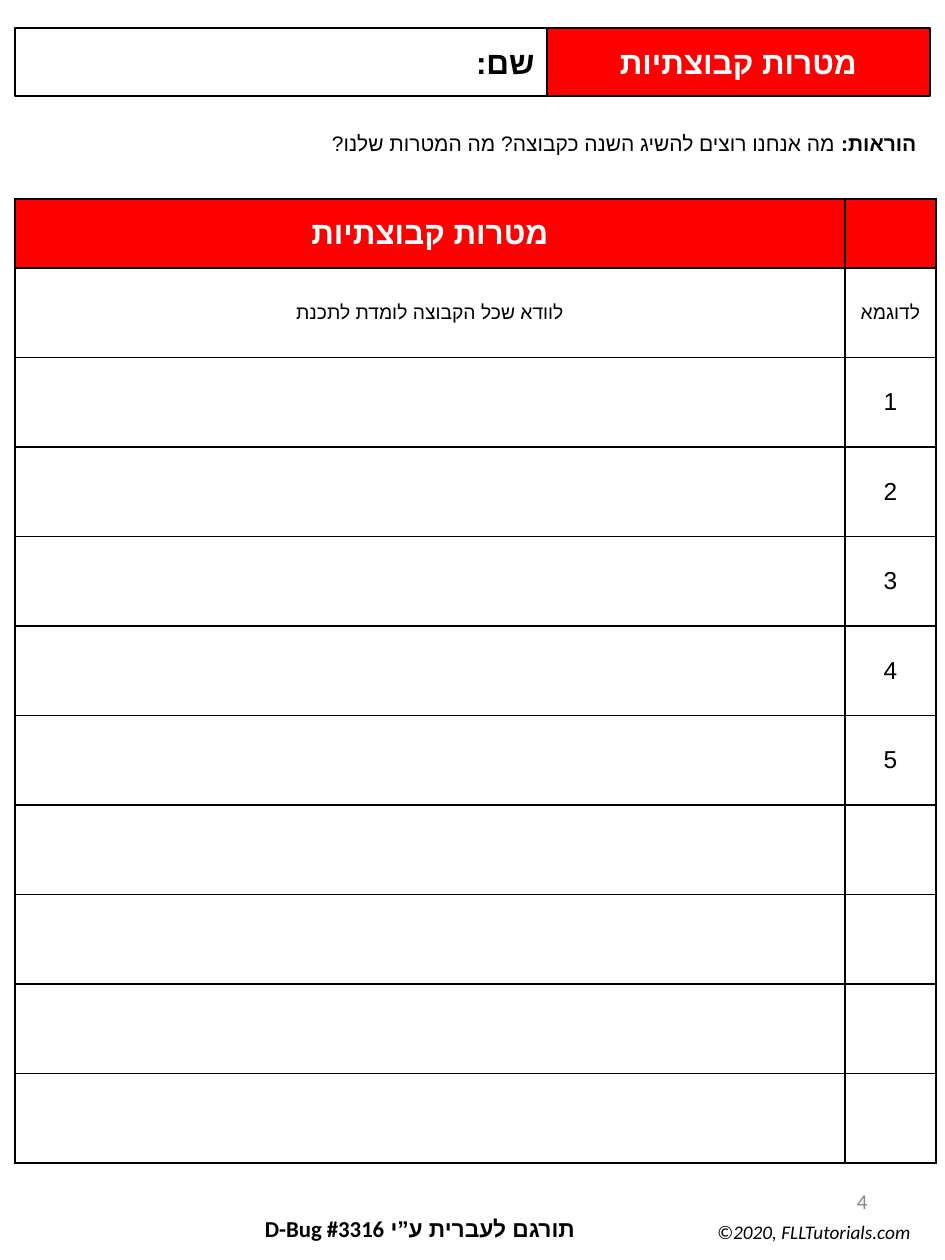
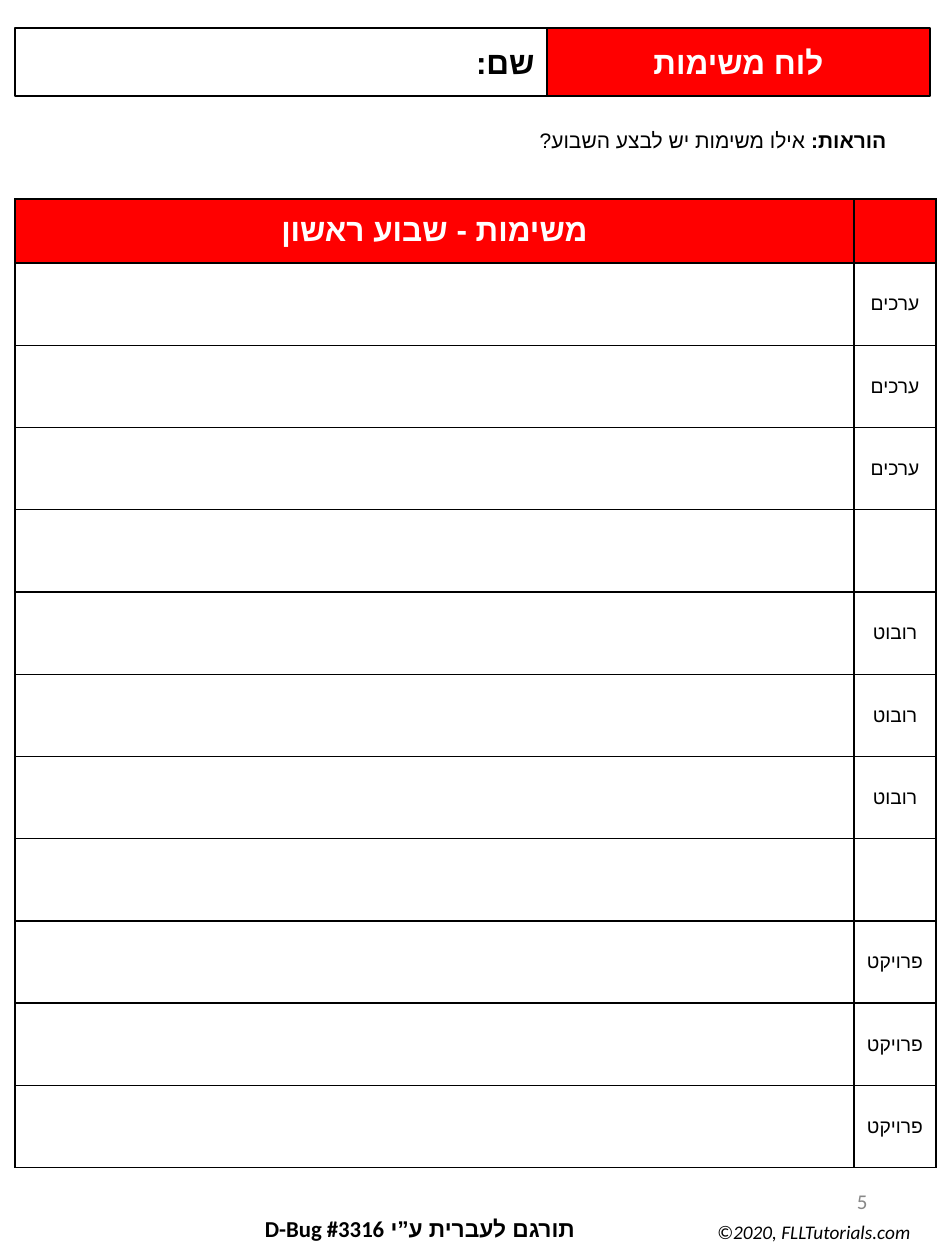
"""Builds two Hebrew team worksheets: group goals and a weekly task board."""
from lxml.etree import SubElement
from pptx import Presentation
from pptx.dml.color import RGBColor
from pptx.enum.shapes import MSO_SHAPE
from pptx.enum.text import MSO_ANCHOR, MSO_AUTO_SIZE, PP_ALIGN
from pptx.oxml.ns import qn
from pptx.util import Pt

PX = 914400 / 126
RED, WHITE, BLACK, GRAY = "FF0000", "FFFFFF", "000000", "888888"
TABLE_LEFT, TABLE_TOP, TABLE_WIDTH = 15, 199, 921


def px(n):
    """Turn px into EMU."""
    return round(n * PX)


def rgb(color):
    """Turn a hex string into a colour."""
    return RGBColor.from_string(color)


def set_fill(target, color):
    """Fill a shape or a cell with one colour."""
    target.fill.solid()
    target.fill.fore_color.rgb = rgb(color)


def write(tf, runs, size, color=BLACK, align=PP_ALIGN.RIGHT, font="Calibri", italic=False, rtl=False):
    """Write one paragraph of (text, bold) runs."""
    p = tf.paragraphs[0]
    p.alignment = align
    if rtl:
        p._p.get_or_add_pPr().set("rtl", "1")
    for text, bold in runs:
        r = p.add_run()
        r.text = text
        r.font.size = Pt(size)
        r.font.bold = bold
        r.font.italic = italic
        r.font.color.rgb = rgb(color)
        r.font.name = font
        SubElement(r._r.get_or_add_rPr(), qn("a:cs"), typeface="Arial")


def add_text(s, box, runs, size, anchor=MSO_ANCHOR.TOP, **style):
    """Add a wrapped text box."""
    tf = s.shapes.add_textbox(*map(px, box)).text_frame
    tf.word_wrap = True
    tf.vertical_anchor = anchor
    write(tf, runs, size, **style)


def format_box(sp, fill, runs, **style):
    """Give a header box its fill, outline and text."""
    set_fill(sp, fill)
    sp.line.color.rgb = rgb(BLACK)
    sp.line.width = Pt(0.75)
    tf = sp.text_frame
    tf.word_wrap = True
    tf.auto_size = MSO_AUTO_SIZE.NONE
    tf.vertical_anchor = MSO_ANCHOR.MIDDLE
    write(tf, runs, 18, **style)


def add_header(s, title):
    """Place the red title and the name field beside it."""
    sp = s.shapes.title
    sp.left, sp.top, sp.width, sp.height = map(px, (547, 28, 383, 68))
    format_box(sp, RED, [(title, True)], color=WHITE, align=PP_ALIGN.CENTER)
    sp = s.shapes.add_shape(MSO_SHAPE.RECTANGLE, *map(px, (15, 28, 532, 68)))
    sp.shadow.inherit = False
    format_box(sp, WHITE, [("שם:", True)], rtl=True)


def add_footer(s, number):
    """Add the page number, the copyright and the translation credit."""
    add_text(s, (667, 1168, 213, 67), [(str(number), False)], 12, MSO_ANCHOR.MIDDLE, color=GRAY)
    add_text(s, (649, 1214, 274, 35), [("©2020, FLLTutorials.com", False)], 11, italic=True)
    add_text(s, (58, 1209, 529, 35), [("תורגם לעברית ע”י D-Bug #3316", True)], 13, rtl=True)


def add_borders(cell):
    """Draw a black line on all sides of a cell."""
    tcPr = cell._tc.get_or_add_tcPr()
    for side in ("lnL", "lnR", "lnT", "lnB"):
        ln = SubElement(tcPr, qn(f"a:{side}"), w=str(Pt(1)))
        SubElement(SubElement(ln, qn("a:solidFill")), qn("a:srgbClr"), val=BLACK)


def add_sheet_table(s, heading, rows, label_width, header_height, bottom, rtl):
    """Add a writing table with row labels at the right."""
    height = bottom - TABLE_TOP
    box = (TABLE_LEFT, TABLE_TOP, TABLE_WIDTH, height)
    table = s.shapes.add_table(len(rows) + 1, 2, *map(px, box)).table
    table.first_row = table.horz_banding = False
    table.columns[0].width = px(TABLE_WIDTH - label_width)
    table.columns[1].width = px(label_width)
    for i, texts in enumerate([(heading, "")] + rows):
        header = i == 0
        table.rows[i].height = px(header_height if header else (height - header_height) / len(rows))
        for cell, text in zip(table.rows[i].cells, texts):
            add_borders(cell)
            set_fill(cell, RED if header else WHITE)
            cell.vertical_anchor = MSO_ANCHOR.MIDDLE
            cell.margin_left = cell.margin_right = px(10)
            cell.margin_top = cell.margin_bottom = px(9)
            if text:
                size = 18 if header else 14 if text.isdigit() else 11
                write(cell.text_frame, [(text, header)], size, WHITE if header else BLACK,
                      PP_ALIGN.CENTER, "Arial", rtl=rtl)


def add_sheet(prs, number, title, instructions, at, **table):
    """Add one worksheet slide."""
    s = prs.slides.add_slide(prs.slide_layouts[5])
    add_header(s, title)
    add_text(s, (*at, 879, 50), [("הוראות: ", True), (instructions, False)], 12, rtl=True)
    add_sheet_table(s, **table)
    add_footer(s, number)


def main():
    """Build and save the worksheets."""
    prs = Presentation()
    prs.slide_width, prs.slide_height = px(945), px(1260)
    goals = [("לוודא שכל הקבוצה לומדת לתכנת", "לדוגמא")]
    goals += [("", str(n)) for n in range(1, 6)] + [("", "")] * 4
    add_sheet(prs, 4, "מטרות קבוצתיות", "מה אנחנו רוצים להשיג השנה כקבוצה? מה המטרות שלנו?",
              (50, 124), heading="מטרות קבוצתיות", rows=goals, label_width=91,
              header_height=69, bottom=1163, rtl=False)
    areas = ["ערכים"] * 3 + [""] + ["רובוט"] * 3 + [""] + ["פרויקט"] * 3
    add_sheet(prs, 5, "לוח משימות", "אילו משימות יש לבצע השבוע?",
              (20, 121), heading="משימות - שבוע ראשון", rows=[("", area) for area in areas],
              label_width=82, header_height=64, bottom=1168, rtl=True)
    prs.save("out.pptx")


if __name__ == "__main__":
    main()
